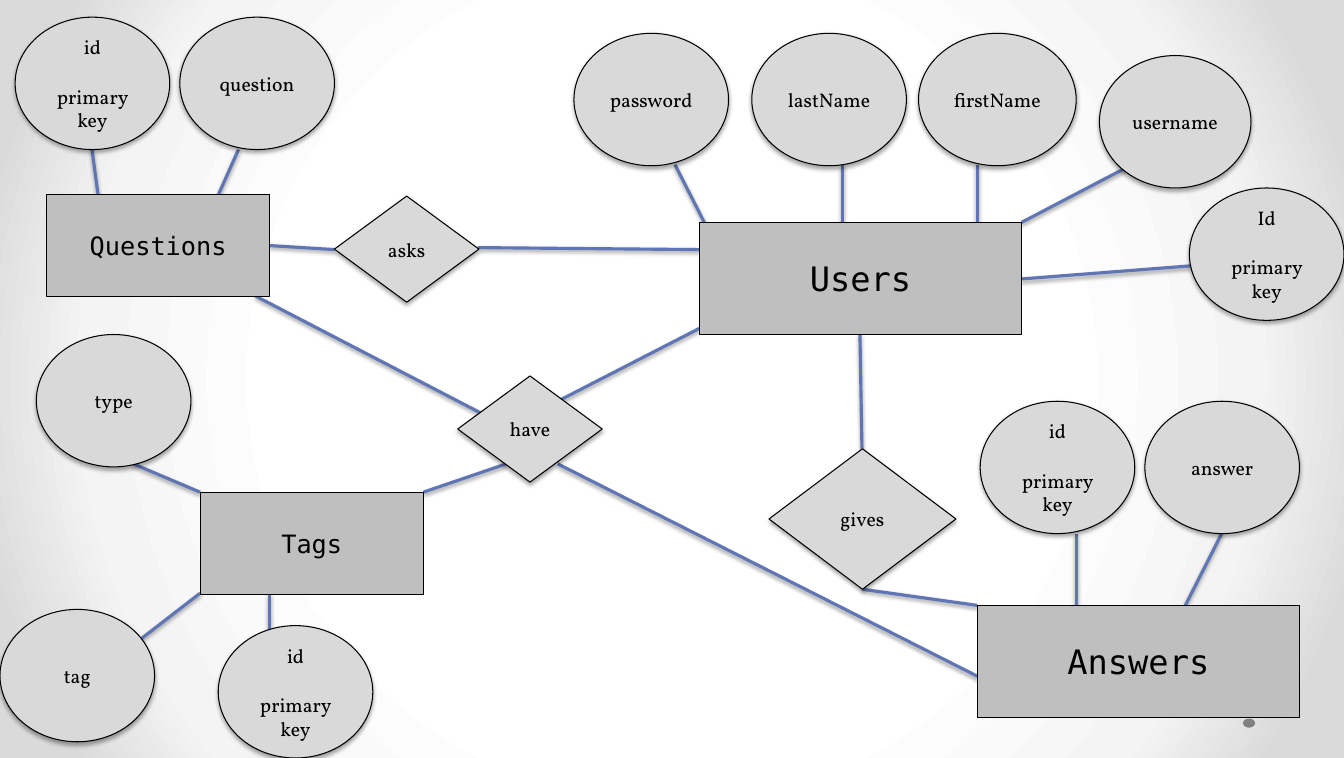
from pptx import Presentation
from pptx.dml.color import RGBColor
from pptx.enum.shapes import MSO_CONNECTOR, MSO_SHAPE
from pptx.enum.text import MSO_ANCHOR, PP_ALIGN
from pptx.oxml import parse_xml
from pptx.oxml.ns import nsdecls
from pptx.util import Inches, Pt

OVAL, DIAMOND, BOX = MSO_SHAPE.OVAL, MSO_SHAPE.DIAMOND, MSO_SHAPE.RECTANGLE
STRAIGHT = MSO_CONNECTOR.STRAIGHT
MIDDLE, CENTER = MSO_ANCHOR.MIDDLE, PP_ALIGN.CENTER
COLORS = {
    "entity": "BFBFBF", "soft": "D9D9D9", "ink": "000000",
    "link": "6076B4", "dot": "808080",
}
SERIF, MONO = "Vollkorn", "DejaVu Sans Mono"
KEY = ["id", "primary key"]

deck = Presentation()
deck.slide_width, deck.slide_height = Inches(13.3), Inches(7.5)
COL, ROW = deck.slide_width / 133, deck.slide_height / 75
page = deck.slides.add_slide(deck.slide_layouts[6])

stops = "".join(
    f'<a:gs pos="{share * 1000}"><a:srgbClr val="{shade}"/></a:gs>'
    for share, shade in [(50, "FFFFFF"), (76, "F4F4F4"), (92, "DADADA")]
)
page.element.cSld.insert(0, parse_xml(
    f'<p:bg {nsdecls("p", "a")}><p:bgPr><a:gradFill rotWithShape="1">'
    f'<a:gsLst>{stops}</a:gsLst><a:path path="circle">'
    '<a:fillToRect l="50000" t="50000" r="50000" b="50000"/></a:path>'
    '</a:gradFill><a:effectLst/></p:bgPr></p:bg>'
))


def cast_shadow(item, distance, opacity):
    item.element.spPr.append(parse_xml(
        f'<a:effectLst {nsdecls("a")}><a:outerShdw blurRad="{Pt(3.1)}" '
        f'dist="{Pt(distance)}" dir="5400000" rotWithShape="0">'
        f'<a:srgbClr val="{COLORS["ink"]}"><a:alpha val="{opacity * 1000}"/>'
        '</a:srgbClr></a:outerShdw></a:effectLst>'
    ))


def add_node(kind, left, top, width, height, lines, fill, font, size):
    node = page.shapes.add_shape(
        kind, int(left * COL), int(top * ROW), int(width * COL), int(height * ROW))
    node.fill.solid()
    node.fill.fore_color.rgb = RGBColor.from_string(COLORS[fill])
    node.line.color.rgb = RGBColor.from_string(COLORS["ink"])
    node.line.width = Pt(0.75)
    frame = node.text_frame
    frame.word_wrap = True
    frame.vertical_anchor = MIDDLE
    for index, line in enumerate(lines):
        para = frame.add_paragraph() if index else frame.paragraphs[0]
        para.alignment = CENTER
        para.space_before = Pt(18.5 if index else 0)
        span = para.add_run()
        span.text = line
        span.font.name = font
        span.font.size = Pt(size)
        span.font.color.rgb = RGBColor.from_string(COLORS["ink"])
    return node


dot = page.shapes.add_shape(
    OVAL, int(123 * COL), int(71.1 * ROW), int(1.2 * COL), int(0.9 * ROW))
dot.shadow.inherit = False
dot.fill.solid()
dot.fill.fore_color.rgb = RGBColor.from_string(COLORS["dot"])
dot.line.fill.background()

links = [
    (101.1, 22, 112, 16.3), (96.7, 22, 96.7, 16.3), (83.4, 22, 83.4, 16.3),
    (69.7, 22, 66.8, 16.3), (117.9, 26.3, 101.1, 27.6),
    (69.2, 24.7, 47.3, 24.5), (85.1, 33.1, 85.3, 44.4),
    (85.3, 58.3, 96.7, 59.9), (26.7, 24.3, 33.1, 24.7),
    (9.7, 19.2, 9.1, 14.8), (21.6, 19.3, 23.6, 14.8),
    (106.5, 59.9, 106.5, 52.8), (117.3, 59.9, 120.9, 52.8),
    (25.3, 29.3, 48.8, 41.5), (69.2, 32.5, 55.2, 39.7),
    (55.2, 45.9, 96.7, 66.9), (50.1, 45.9, 41.9, 48.7),
    (19.8, 48.7, 13.2, 45.9), (19.8, 58.7, 13.2, 63.8),
    (26.7, 66.9, 26.7, 58.8),
]
for x1, y1, x2, y2 in links:
    link = page.shapes.add_connector(
        STRAIGHT, int(x1 * COL), int(y1 * ROW), int(x2 * COL), int(y2 * ROW))
    link.line.color.rgb = RGBColor.from_string(COLORS["link"])
    link.line.width = Pt(2.25)
    cast_shadow(link, 1.6, 38)

entities = [
    ("Users", 69.2, 22, 31.9, 11.1, 24),
    ("Answers", 96.7, 59.9, 31.9, 11.1, 24),
    ("Questions", 4.6, 19.2, 22.1, 10.1, 18),
    ("Tags", 19.8, 48.7, 22.1, 10.1, 18),
]
for name, left, top, width, height, size in entities:
    entity = add_node(BOX, left, top, width, height, [name], "entity", MONO, size)
    entity.shadow.inherit = False

relations = [
    ("asks", 33.1, 19.4, 14.3, 10.5),
    ("gives", 76.1, 44.4, 18.5, 13.9),
    ("have", 45.3, 37.2, 14.3, 10.5),
]
for name, left, top, width, height in relations:
    relation = add_node(DIAMOND, left, top, width, height, [name], "soft", SERIF, 14)
    cast_shadow(relation, 1.8, 35)

attributes = [
    (["username"], 108.8, 5.5, 15),
    (["firstName"], 90.9, 3.3, 15.6),
    (["lastName"], 74.4, 3.3, 15.3),
    (["password"], 56.8, 3.3, 15.3),
    (["Id", "primary key"], 117.7, 18.6, 15.3),
    (KEY, 1.5, 1.7, 15.3),
    (["question"], 17.8, 1.7, 15.3),
    (["answer"], 113.3, 39.7, 15.3),
    (KEY, 97, 39.7, 15.3),
    (["type"], 3.6, 33.1, 15.3),
    (["tag"], 0, 60.3, 15.3),
    (KEY, 21.6, 61.9, 15.3),
]
for lines, left, top, width in attributes:
    attribute = add_node(OVAL, left, top, width, 13.1, lines, "soft", SERIF, 14)
    cast_shadow(attribute, 1.8, 35)

deck.save("out.pptx")
